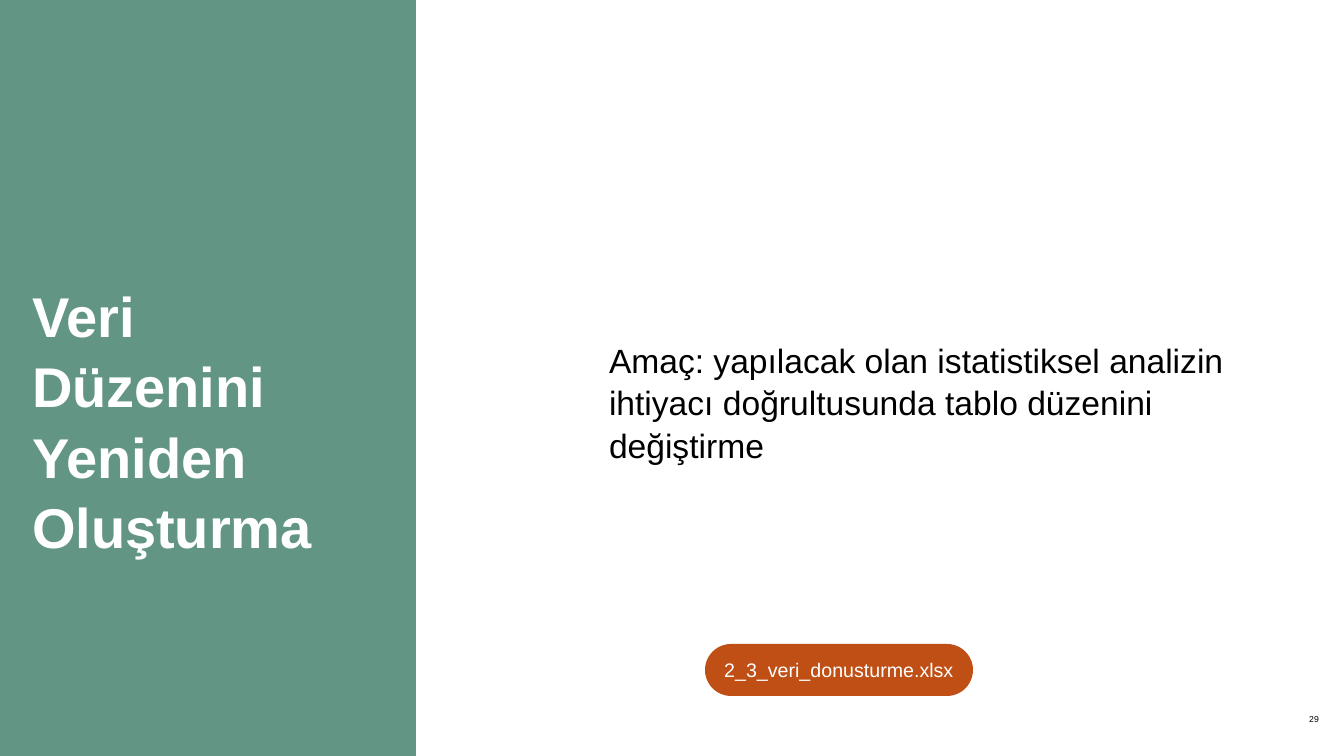
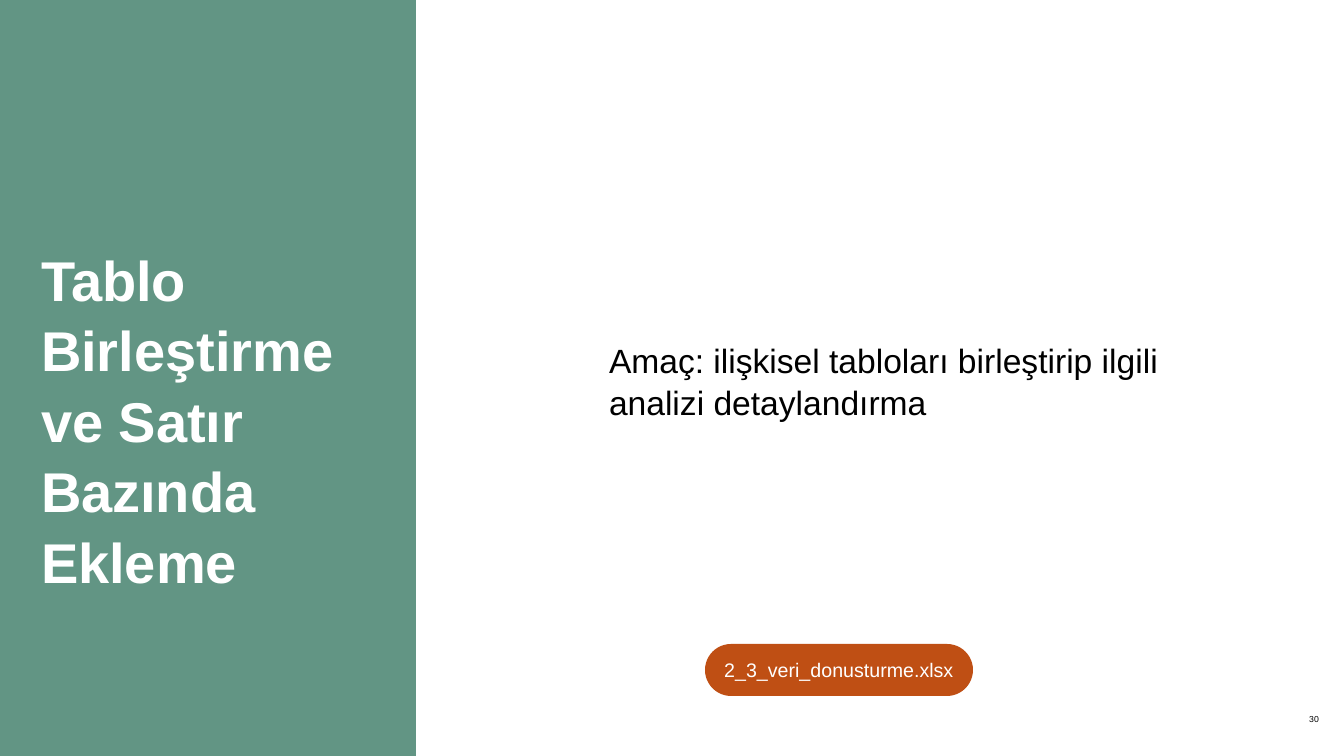
"""Build two section slides with a green title panel and a file badge."""
from pptx import Presentation
from pptx.dml.color import RGBColor
from pptx.enum.shapes import MSO_SHAPE as Shape
from pptx.enum.text import MSO_ANCHOR as Anchor, MSO_AUTO_SIZE as Fit, PP_ALIGN as Align
from pptx.util import Emu, Pt

GREEN = RGBColor(0x62, 0x95, 0x84)
RUST = RGBColor(0xBF, 0x4F, 0x14)
WHITE = RGBColor(0xFF, 0xFF, 0xFF)
BLACK = RGBColor(0x00, 0x00, 0x00)
FONT = "Arial"
SCALE = 914400 / 100.8
WIDE, HIGH = 1344, 756
FILE = "2_3_veri_donusturme.xlsx"
PAGES = [
    (29, "Veri Düzenini Yeniden Oluşturma", (19, 265),
     "Amaç: yapılacak olan istatistiksel analizin ihtiyacı doğrultusunda tablo düzenini değiştirme"),
    (30, "Tablo Birleştirme ve Satır Bazında Ekleme", (28, 229),
     "Amaç: ilişkisel tabloları birleştirip ilgili analizi detaylandırma"),
]


def px(size):
    return Emu(round(size * SCALE))


def write(shape, text, size, color=BLACK, bold=False, align=Align.LEFT,
          anchor=Anchor.TOP, inset=(13, 13), space=1.0):
    frame = shape.text_frame
    frame.text = text
    frame.word_wrap = True
    frame.auto_size = Fit.NONE
    frame.vertical_anchor = anchor
    frame.margin_left = frame.margin_right = px(inset[0])
    frame.margin_top = frame.margin_bottom = px(inset[1])
    line = frame.paragraphs[0]
    line.alignment = align
    line.line_spacing = space
    font = line.runs[0].font
    font.name, font.size, font.bold = FONT, Pt(size), bold
    font.color.rgb = color


class Deck:
    def __init__(self):
        self.show = Presentation()
        self.show.slide_width, self.show.slide_height = px(WIDE), px(HIGH)
        self.slide = None

    def page(self):
        self.slide = self.show.slides.add_slide(self.show.slide_layouts[5])

    def block(self, kind, box, color):
        shape = self.slide.shapes.add_shape(kind, *map(px, box))
        shape.shadow.inherit = False
        shape.fill.solid()
        shape.fill.fore_color.rgb = color
        shape.line.fill.background()
        return shape

    def panel(self):
        band = self.block(Shape.RECTANGLE, (0, -3, 416, 767), GREEN)
        self.slide.shapes.title.element.addprevious(band.element)

    def title(self, text, spot):
        head = self.slide.shapes.title
        head.left, head.top = map(px, spot)
        head.width, head.height = px(374), px(HIGH - 2 * spot[1])
        write(head, text, 40, WHITE, bold=True, space=1.05)

    def text(self, text, box, size, **style):
        write(self.slide.shapes.add_textbox(*map(px, box)), text, size, **style)

    def badge(self, text):
        pill = self.block(Shape.ROUNDED_RECTANGLE, (705, 644, 268, 52), RUST)
        pill.adjustments[0] = 0.5
        write(pill, text, 14, WHITE, align=Align.CENTER,
              anchor=Anchor.MIDDLE, inset=(10, 10))


def main():
    deck = Deck()
    for number, head, spot, goal in PAGES:
        deck.page()
        deck.panel()
        deck.title(head, spot)
        deck.text(str(number), (1251, 691, 81, 57), 6.2,
                  align=Align.RIGHT, anchor=Anchor.MIDDLE)
        deck.text(goal, (599, 333, 645, 132), 24, inset=(10, 5), space=1.05)
        deck.badge(FILE)
    deck.show.save("out.pptx")


if __name__ == "__main__":
    main()
